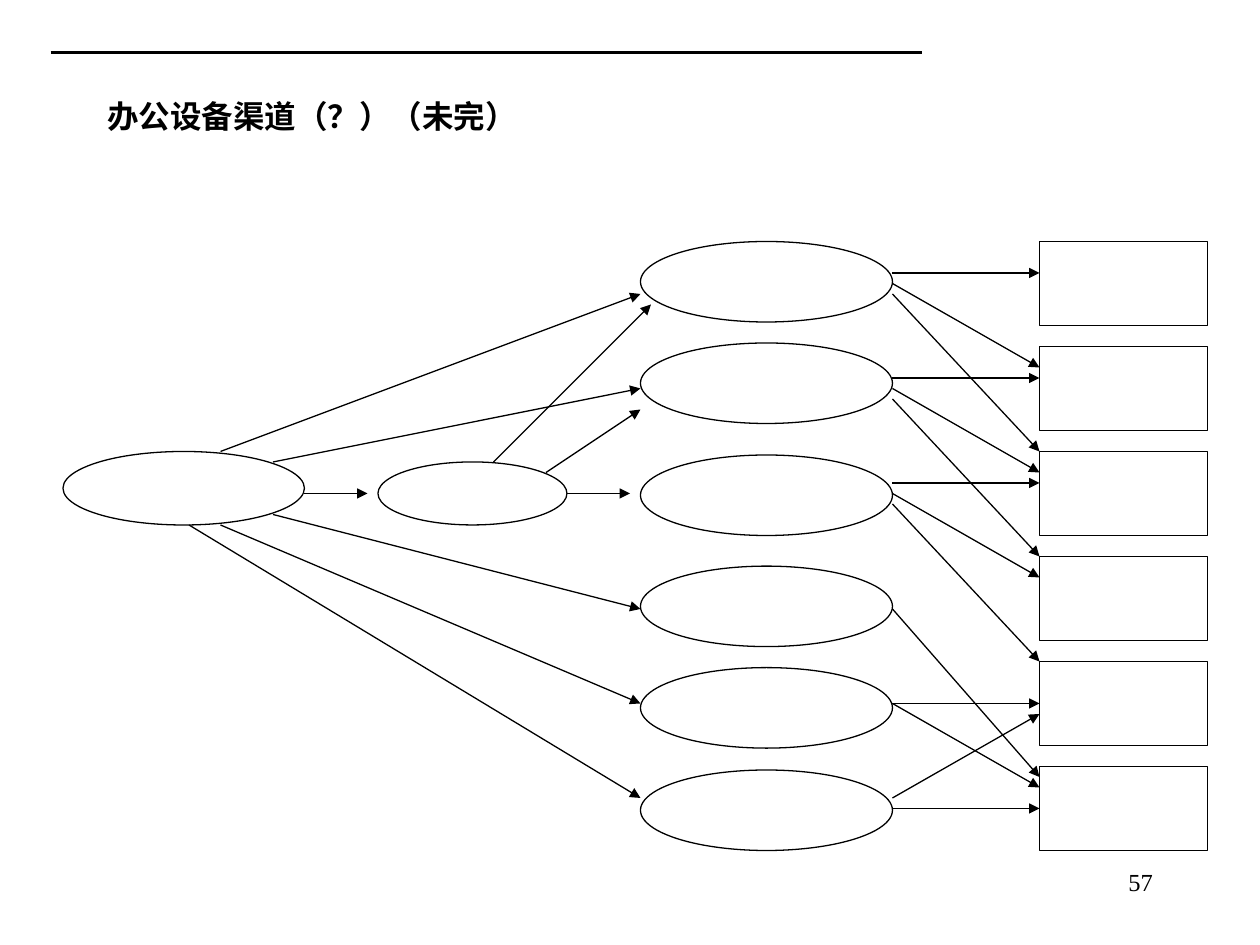
from lxml import etree
from pptx import Presentation
from pptx.dml.color import RGBColor
from pptx.enum import shapes, text
from pptx.oxml.ns import qn
from pptx.util import Pt

COLORS = {"ink": "000000", "paper": "FFFFFF"}


class Diagram:
    """Holds the style and the current slide."""

    font = "Times New Roman"
    line_width = 0.75

    def __init__(self, slide):
        self.slide = slide

    def color(self, name):
        return RGBColor.from_string(COLORS[name])

    def add_text(self, sp, content, size, align, anchor, bold=False):
        tf = sp.text_frame
        tf.word_wrap = True
        tf.auto_size = text.MSO_AUTO_SIZE.NONE
        tf.vertical_anchor = anchor
        p = tf.paragraphs[0]
        p.alignment = align
        r = p.add_run()
        r.text = content
        r.font.name = self.font
        r.font.size = Pt(size)
        r.font.bold = bold
        r.font.color.rgb = self.color("ink")

    def title(self, content, x, y, w, h):
        sp = self.slide.shapes.title
        sp.left, sp.top, sp.width, sp.height = Pt(x), Pt(y), Pt(w), Pt(h)
        self.add_text(sp, content, 18, text.PP_ALIGN.LEFT, text.MSO_ANCHOR.MIDDLE, True)

    def label(self, content, x, y, w, h):
        sp = self.slide.shapes.add_textbox(Pt(x), Pt(y), Pt(w), Pt(h))
        self.add_text(sp, content, 14, text.PP_ALIGN.RIGHT, text.MSO_ANCHOR.TOP)

    def group(self):
        return self.slide.shapes.add_group_shape()

    def node(self, kind, x, y, w, h, group=None):
        parent = group or self.slide
        sp = parent.shapes.add_shape(kind, Pt(x), Pt(y), Pt(w), Pt(h))
        sp.shadow.inherit = False
        sp.fill.solid()
        sp.fill.fore_color.rgb = self.color("paper")
        sp.line.color.rgb = self.color("ink")
        sp.line.width = Pt(self.line_width)
        return sp

    def line(self, x1, y1, x2, y2, width=line_width, group=None):
        parent = group or self.slide
        cn = parent.shapes.add_connector(
            shapes.MSO_CONNECTOR.STRAIGHT, Pt(x1), Pt(y1), Pt(x2), Pt(y2))
        cn.line.color.rgb = self.color("ink")
        cn.line.width = Pt(width)
        etree.SubElement(cn._element.spPr, qn("a:effectLst"))
        return cn

    def arrow(self, x1, y1, x2, y2, group=None):
        cn = self.line(x1, y1, x2, y2, group=group)
        etree.SubElement(cn.get_or_add_ln(), qn("a:tailEnd"), type="triangle")
        return cn


def main():
    prs = Presentation()
    prs.slide_width, prs.slide_height = Pt(720), Pt(540)
    s = prs.slides.add_slide(prs.slide_layouts[5])
    d = Diagram(s)
    oval = shapes.MSO_SHAPE.OVAL
    rect = shapes.MSO_SHAPE.RECTANGLE

    # Header rule and title
    d.line(29, 30, 527, 30, width=1.5)
    d.title("办公设备渠道（？）（未完）", 54, 30, 612, 72)

    # Channel ovals
    channel_left, channel_right = 366, 510
    channels = d.group()
    for y in (138, 196, 260, 323.5, 381.5, 440):
        d.node(oval, channel_left, y, channel_right - channel_left, 46, channels)

    # Source and intermediary
    d.node(oval, 36, 258, 138, 42)
    d.node(oval, 216, 264, 108, 36)

    # Arrows from the source and the intermediary
    for ends in (
        (174, 282, 210, 282),
        (324, 282, 360, 282),
        (156, 264, channel_left, 222),
        (126, 258, channel_left, 168),
        (312, 270, channel_left, 234),
        (282, 264, 372, 174),
        (156, 294, channel_left, 348),
        (126, 300, channel_left, 402),
        (108, 300, channel_left, 456),
    ):
        d.arrow(*ends)

    # Customer boxes
    box_left, box_top, box_step = 594, 138, 60
    customers = d.group()
    boxes = [d.node(rect, box_left, box_top + i * box_step, 96, 48, customers)
             for i in range(6)]

    # Upper three channels each fan out to three customers
    for i in range(3):
        fan = d.group()
        y = 156 + i * box_step
        for start, end in ((0, 0), (6, 54), (12, 102)):
            d.arrow(channel_right, y + start, box_left, y + end, fan)

    # Lower three channels share the last two customers
    for y1, y2 in ((348, 444), (402, 450), (456, 408)):
        d.arrow(channel_right, y1, box_left, y2)
    for y, box in ((402, boxes[4]), (462, boxes[5])):
        d.arrow(channel_right, y, box_left, y).end_connect(box, 1)

    # Page number
    d.label("57", 516, 492, 150, 36)

    prs.save("out.pptx")


if __name__ == "__main__":
    main()
